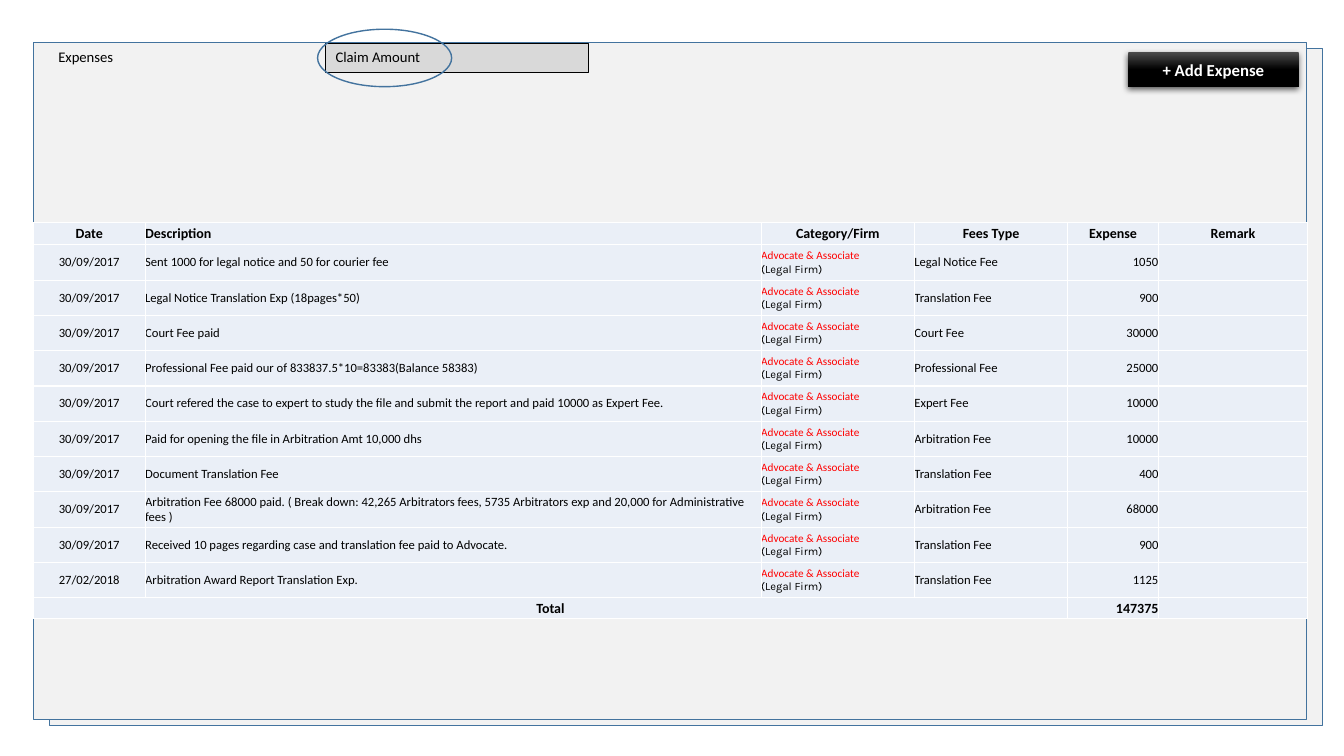
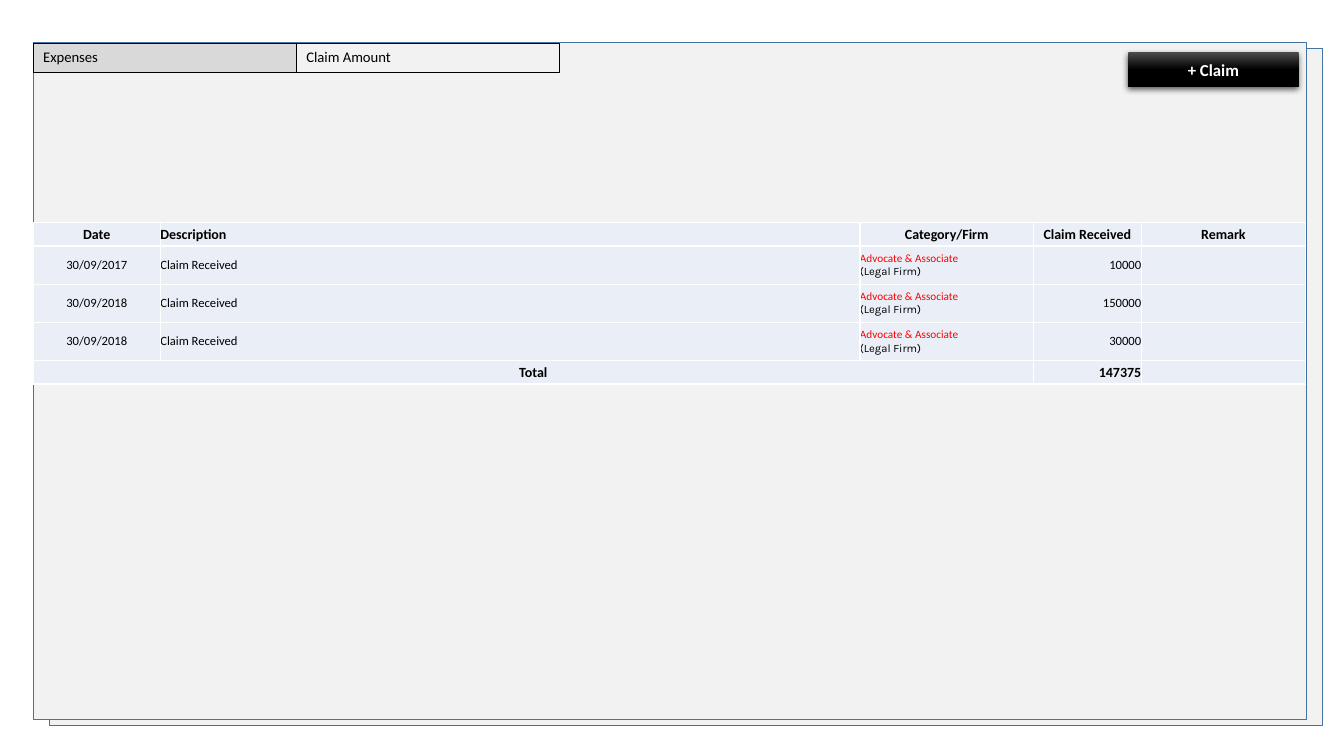
from lxml.etree import SubElement
from pptx import Presentation
from pptx.dml.color import RGBColor
from pptx.enum.shapes import MSO_SHAPE
from pptx.enum.text import MSO_ANCHOR, MSO_AUTO_SIZE, PP_ALIGN
from pptx.oxml.ns import qn
from pptx.util import Inches, Pt

BLACK = RGBColor(0x00, 0x00, 0x00)
WHITE = RGBColor(0xFF, 0xFF, 0xFF)
RED = RGBColor(0xFF, 0x00, 0x00)
BLUE = RGBColor(0x43, 0x73, 0x9E)
PANEL_GREY = RGBColor(0xF2, 0xF2, 0xF2)
TAB_GREY = RGBColor(0xD9, 0xD9, 0xD9)
BUTTON_GREY = RGBColor(0x4B, 0x4B, 0x4B)
CELL_BLUE = RGBColor(0xEA, 0xEF, 0xF7)

BODY_FONT = "Calibri"
FIRM_FONT = "Karla"
FIRM = "Advocate & Associate\n(Legal Firm)"
LEFT, CENTER, RIGHT = PP_ALIGN.LEFT, PP_ALIGN.CENTER, PP_ALIGN.RIGHT
PANEL_LEFT, PANEL_WIDTH = 0.33, 12.63
TAB_WIDTH = 2.61

EXPENSES = [
    ("30/09/2017", "Sent 1000 for legal notice and 50 for courier fee", "Legal Notice Fee", 1050),
    ("30/09/2017", "Legal Notice Translation Exp (18pages*50)", "Translation Fee", 900),
    ("30/09/2017", "Court Fee paid", "Court Fee", 30000),
    ("30/09/2017", "Professional Fee paid our of 833837.5*10=83383(Balance 58383)",
     "Professional Fee", 25000),
    ("30/09/2017", "Court refered the case to expert to study the file and submit the report "
     "and paid 10000 as Expert Fee.", "Expert Fee", 10000),
    ("30/09/2017", "Paid for opening the file in Arbitration Amt 10,000 dhs",
     "Arbitration Fee", 10000),
    ("30/09/2017", "Document Translation Fee", "Translation Fee", 400),
    ("30/09/2017", "Arbitration Fee 68000 paid. ( Break down: 42,265 Arbitrators fees, "
     "5735 Arbitrators exp and 20,000 for Administrative fees )", "Arbitration Fee", 68000),
    ("30/09/2017", "Received 10 pages regarding case and translation fee paid to Advocate.",
     "Translation Fee", 900),
    ("27/02/2018", "Arbitration Award Report Translation Exp.", "Translation Fee", 1125),
]
CLAIMS = [("30/09/2017", 10000), ("30/09/2018", 150000), ("30/09/2018", 30000)]


class ClaimDeck:
    def __init__(self):
        self.presentation = Presentation()
        self.presentation.slide_width = Inches(13.33)
        self.presentation.slide_height = Inches(7.5)
        self.slide = None

    def new_slide(self):
        self.slide = self.presentation.slides.add_slide(self.presentation.slide_layouts[6])
        for left, top in ((0.49, 0.48), (PANEL_LEFT, 0.42)):
            self.box(left, top, PANEL_WIDTH, 6.72, PANEL_GREY, BLUE)

    def box(self, left, top, width, height, fill=None, line=None, weight=1,
            kind=MSO_SHAPE.RECTANGLE):
        shape = self.slide.shapes.add_shape(
            kind, Inches(left), Inches(top), Inches(width), Inches(height))
        shape.shadow.inherit = False
        if fill is None:
            shape.fill.background()
        else:
            shape.fill.solid()
            shape.fill.fore_color.rgb = fill
        if line is None:
            shape.line.fill.background()
        else:
            shape.line.color.rgb = line
            shape.line.width = Pt(weight)
        return shape

    def style(self, paragraph, size, color=BLACK, bold=False, align=LEFT, font=BODY_FONT):
        paragraph.alignment = align
        for run in paragraph.runs:
            run.font.name = font
            run.font.size = Pt(size)
            run.font.bold = bold
            run.font.color.rgb = color

    def tab(self, text, left, fill=None):
        top, height = 0.43, 0.29
        if fill is None:
            shape = self.slide.shapes.add_textbox(
                Inches(left), Inches(top), Inches(TAB_WIDTH), Inches(height))
        else:
            shape = self.box(left, top, TAB_WIDTH, height, fill, BLACK, 0.75)
        text_frame = shape.text_frame
        text_frame.text = text
        text_frame.word_wrap = True
        text_frame.auto_size = MSO_AUTO_SIZE.SHAPE_TO_FIT_TEXT
        text_frame.vertical_anchor = MSO_ANCHOR.TOP
        self.style(text_frame.paragraphs[0], 10.5)

    def button(self, text):
        shape = self.box(11.19, 0.52, 1.69, 0.34)
        shape.fill.gradient()
        shape.fill.gradient_angle = 270
        stops = zip(shape.fill.gradient_stops, (0, 0.5), (BUTTON_GREY, BLACK))
        for stop, position, color in stops:
            stop.position = position
            stop.color.rgb = color
        effects = shape._element.spPr.find(qn("a:effectLst"))
        shadow = SubElement(effects, qn("a:outerShdw"), blurRad=str(Pt(4.5)),
                            dist=str(Pt(1.5)), dir="5400000", algn="ctr", rotWithShape="0")
        shade = SubElement(shadow, qn("a:srgbClr"), val=str(BLACK))
        SubElement(shade, qn("a:alpha"), val="63000")
        shape.text_frame.text = text
        shape.text_frame.vertical_anchor = MSO_ANCHOR.MIDDLE
        self.style(shape.text_frame.paragraphs[0], 12, WHITE, True, CENTER)

    def highlight(self, left, top, width, height):
        self.box(left, top, width, height, line=BLUE, kind=MSO_SHAPE.OVAL)

    def cell(self, cell, text, size, bold, align):
        cell.margin_left = cell.margin_right = cell.margin_top = cell.margin_bottom = 0
        cell.vertical_anchor = MSO_ANCHOR.MIDDLE
        properties = cell._tc.get_or_add_tcPr()
        for side in ("a:lnL", "a:lnR", "a:lnT", "a:lnB"):
            border = SubElement(properties, qn(side), w=str(Pt(1)))
            border_fill = SubElement(border, qn("a:solidFill"))
            SubElement(border_fill, qn("a:srgbClr"), val=str(WHITE))
        cell.fill.solid()
        cell.fill.fore_color.rgb = CELL_BLUE
        cell.text_frame.text = text
        paragraphs = cell.text_frame.paragraphs
        if text == FIRM:
            self.style(paragraphs[0], 8, RED)
            self.style(paragraphs[1], 8, font=FIRM_FONT)
        elif text:
            self.style(paragraphs[0], size, bold=bold, align=align)
        else:
            SubElement(paragraphs[0]._p, qn("a:endParaRPr"), sz=str(size * 100))

    def table(self, headers, records, total, widths, heights):
        amount_column = len(headers) - 2
        total_row = len(records) + 1
        total_record = ["Total"] + [""] * (amount_column - 1) + [total, ""]
        rows = [headers, *records, total_record]
        frame = self.slide.shapes.add_table(
            len(rows), len(headers), Inches(PANEL_LEFT), Inches(2.21),
            Inches(PANEL_WIDTH), Inches(sum(heights)))
        table = frame.table
        table.first_row = table.horz_banding = False
        for column, width in zip(table.columns, widths):
            column.width = Inches(width)
        for row, height in zip(table.rows, heights):
            row.height = Inches(height)
        body_align = {0: CENTER, amount_column: RIGHT}
        for row_index, row in enumerate(rows):
            strong = row_index in (0, total_row)
            for column_index, value in enumerate(row):
                if row_index == 0:
                    align = LEFT if value == "Description" else CENTER
                else:
                    align = body_align.get(column_index, LEFT)
                self.cell(table.cell(row_index, column_index), str(value),
                          10 if strong else 9, strong, align)
        table.cell(total_row, 0).merge(table.cell(total_row, amount_column - 1))


def main():
    deck = ClaimDeck()

    deck.new_slide()
    deck.tab("Expenses", 0.48)
    deck.tab("Claim Amount", 3.23, TAB_GREY)
    deck.table(
        ["Date", "Description", "Category/Firm", "Fees Type", "Expense", "Remark"],
        [(date, description, FIRM, fee, amount, "")
         for date, description, fee, amount in EXPENSES],
        147375, [1.11, 6.11, 1.52, 1.52, 0.9, 1.48],
        [0.22] + [0.35] * len(EXPENSES) + [0.21])
    deck.button("+ Add Expense")
    deck.highlight(3.15, 0.29, 1.33, 0.57)

    deck.new_slide()
    deck.tab("Expenses", PANEL_LEFT, TAB_GREY)
    deck.tab("Claim Amount", PANEL_LEFT + TAB_WIDTH, PANEL_GREY)
    deck.table(
        ["Date", "Description", "Category/Firm", "Claim Received", "Remark"],
        [(date, "Claim Received", FIRM, amount, "") for date, amount in CLAIMS],
        147375, [1.26, 6.94, 1.72, 1.07, 1.63],
        [0.23] + [0.38] * len(CLAIMS) + [0.23])
    deck.button("+ Claim")

    deck.presentation.save("out.pptx")


if __name__ == "__main__":
    main()
